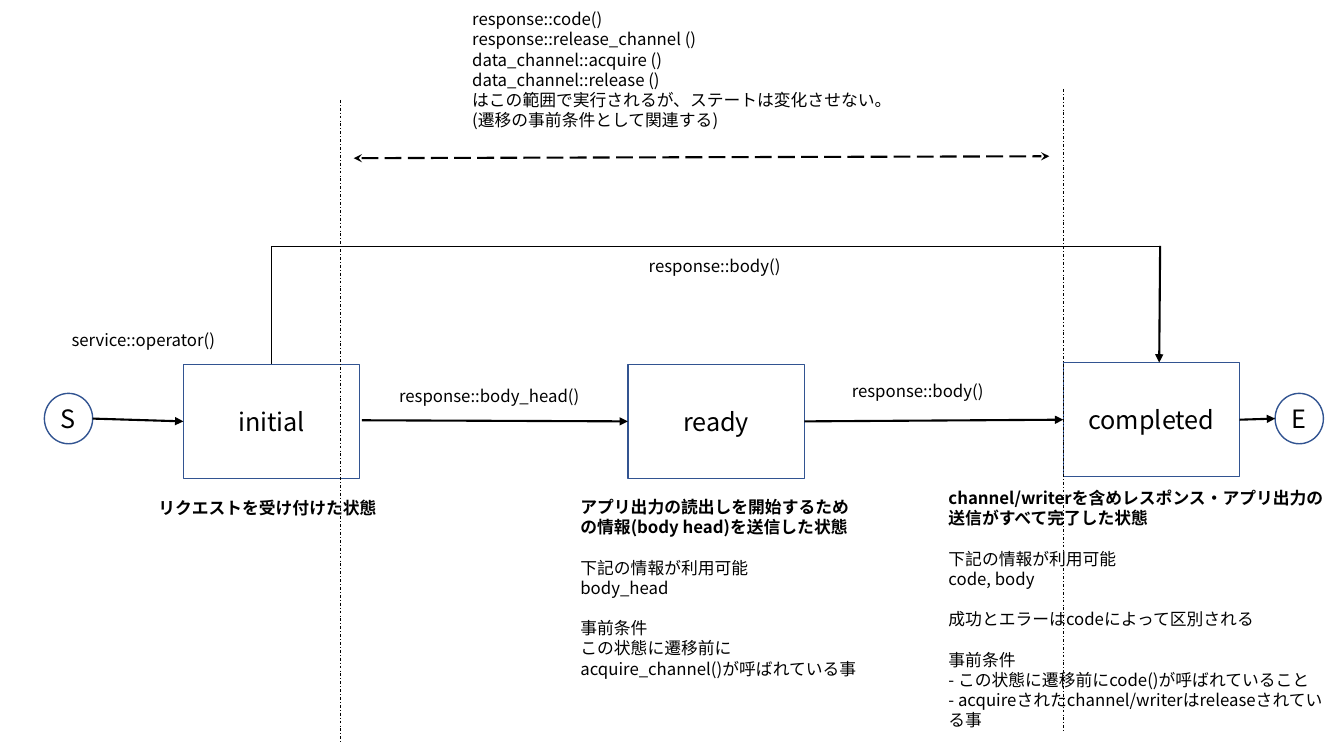
import pptx
import pptx.util
import pptx.dml.color
import pptx.enum.dml
import pptx.enum.shapes
import pptx.enum.text
import pptx.oxml.ns
import lxml.etree

Pt = pptx.util.Pt
SHAPE = pptx.enum.shapes.MSO_SHAPE
DASH = pptx.enum.dml.MSO_LINE
ALIGN = pptx.enum.text.PP_ALIGN
FONT = "Noto Sans CJK JP"


def rgb(value):
    return pptx.dml.color.RGBColor.from_string(value)


def add_text(p, text, size, bold=False):
    r = p.add_run()
    r.text = text
    for name, value in {"name": FONT, "size": Pt(size), "bold": bold}.items():
        setattr(r.font, name, value)
    r.font.color.rgb = rgb("000000")
    ea = lxml.etree.SubElement(r.font._element, pptx.oxml.ns.qn("a:ea"))
    ea.set("typeface", FONT)


prs = pptx.Presentation()
prs.slide_width, prs.slide_height = Pt(960), Pt(540)
s = prs.slides.add_slide(prs.slide_layouts[6])

circle = (SHAPE.OVAL, 34.5, 36)
box = (SHAPE.RECTANGLE, 126, 81.5)
states = [
    ("S", circle, 31.7, 281),
    ("E", circle, 910.8, 281),
    ("initial", box, 131, 260.5),
    ("ready", box, 448.5, 260.5),
    ("completed", box, 759.5, 259),
]
for text, (kind, w, h), x, y in states:
    sp = s.shapes.add_shape(kind, Pt(x), Pt(y), Pt(w), Pt(h))
    sp.shadow.inherit = False
    sp.fill.solid()
    sp.fill.fore_color.rgb = rgb("FFFFFF")
    sp.line.color.rgb = rgb("325491")
    sp.line.width = Pt(1)
    tf = sp.text_frame
    fmt = {
        "margin_left": 0,
        "margin_right": 0,
        "word_wrap": True,
        "vertical_anchor": pptx.enum.text.MSO_ANCHOR.MIDDLE,
    }
    for name, value in fmt.items():
        setattr(tf, name, value)
    p = tf.paragraphs[0]
    p.alignment = ALIGN.CENTER
    add_text(p, text, 18)

arrow = (1.5, None, {"tailEnd": "triangle"})
boundary = (0.5, DASH.DASH_DOT, {})
span = (1.5, DASH.LONG_DASH, {"headEnd": "stealth", "tailEnd": "stealth"})
lines = [
    (66.2, 299, 131, 301, arrow),
    (258.5, 300.2, 448.5, 301, arrow),
    (574.5, 301, 759.5, 299.8, arrow),
    (885.5, 299.8, 910.8, 299, arrow),
    (828.7, 175.7, 828, 259, arrow),
    (759.5, 63.5, 759.5, 523.5, boundary),
    (243.3, 71.3, 243.3, 531.3, boundary),
    (252.7, 113, 749.5, 111.6, span),
]
for x1, y1, x2, y2, (width, dash, ends) in lines:
    sp = s.shapes.add_connector(
        pptx.enum.shapes.MSO_CONNECTOR.STRAIGHT, Pt(x1), Pt(y1), Pt(x2), Pt(y2)
    )
    sp.line.color.rgb = rgb("000000")
    sp.line.width = Pt(width)
    if dash:
        sp.line.dash_style = dash
    ln = sp.line._get_or_add_ln()
    for tag, kind in ends.items():
        lxml.etree.SubElement(ln, pptx.oxml.ns.qn("a:" + tag)).set("type", kind)
    lxml.etree.SubElement(sp._element.spPr, pptx.oxml.ns.qn("a:effectLst"))

fb = s.shapes.build_freeform(194.4, 260.5, scale=Pt(1))
fb.add_line_segments([(194.4, 175.7), (828.7, 175.7)], close=False)
sp = fb.convert_to_shape()
sp.shadow.inherit = False
sp.fill.background()
sp.line.color.rgb = rgb("000000")
sp.line.width = Pt(0.5)

labels = [
    (278, 272.3, 145.5, 21.6, False, [["response::body_head()"]]),
    (601.3, 268.6, 145.5, 21.6, False, [["response::body()"]]),
    (456.3, 179.3, 145.5, 21.6, False, [["response::body()"]]),
    (44, 231.7, 145.5, 21.6, False, [["service::operator()"]]),
    (330.2, 2.9, 464.4, 108.7, False, [[
        "response::code()",
        "response::release_channel ()",
        "data_channel::acquire ()",
        "data_channel::release ()",
        "はこの範囲で実行されるが、ステートは変化させない。",
        "(遷移の事前条件として関連する)",
    ]]),
    (106, 352, 254.2, 51, True, [["リクエストを受け付けた状態"]]),
    (407.5, 351.4, 216, 167, True, [
        ["アプリ出力の読出しを開始するための情報(body head)を送信した状態"],
        ["下記の情報が利用可能", "body_head"],
        ["事前条件", "この状態に遷移前にacquire_channel()が呼ばれている事"],
    ]),
    (670.4, 345, 289.4, 181.4, True, [
        ["channel/writerを含めレスポンス・アプリ出力の送信がすべて完了した状態"],
        ["下記の情報が利用可能", "code, body"],
        ["成功とエラーはcodeによって区別される"],
        [
            "事前条件",
            "- この状態に遷移前にcode()が呼ばれていること",
            "- acquireされたchannel/writerはreleaseされている事",
        ],
    ]),
]
for x, y, w, h, bold_head, groups in labels:
    sp = s.shapes.add_textbox(Pt(x), Pt(y), Pt(w), Pt(h))
    tf = sp.text_frame
    tf.word_wrap = True
    for g, group in enumerate(groups):
        for i, text in enumerate(group):
            first = g == 0 and i == 0
            p = tf.paragraphs[0] if first else tf.add_paragraph()
            fmt = {
                "alignment": ALIGN.LEFT,
                "line_spacing": Pt(14.4),
                "space_before": Pt(14.4 if g and i == 0 else 0),
            }
            for name, value in fmt.items():
                setattr(p, name, value)
            add_text(p, text, 12, bold_head and first)

prs.save("out.pptx")
